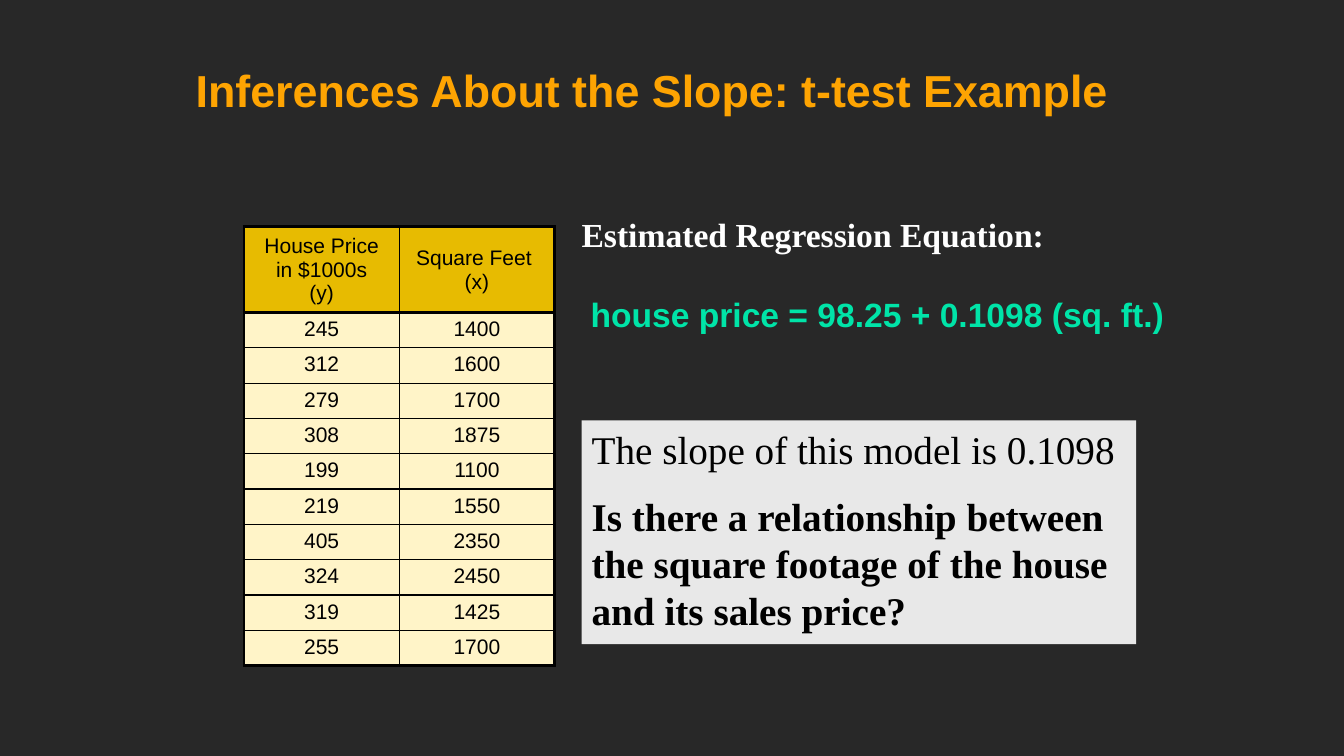
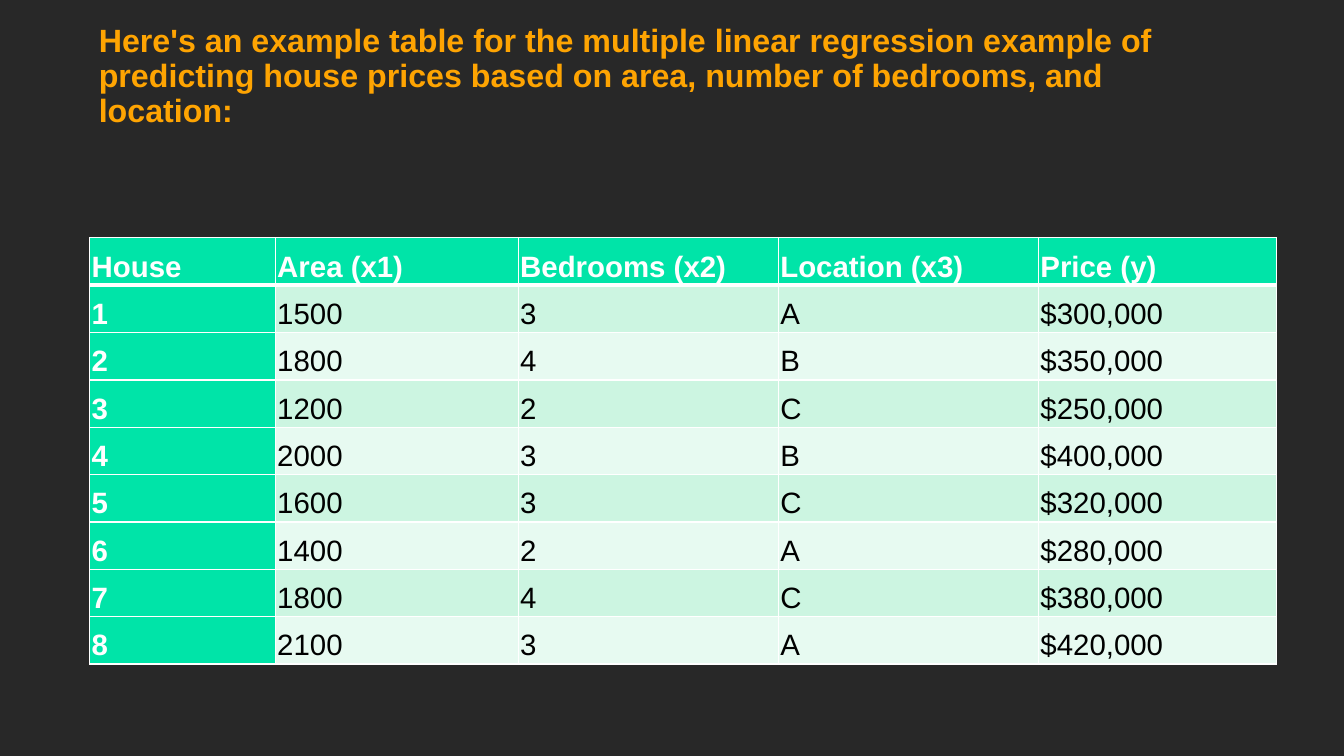
import pptx
import pptx.dml.color
import pptx.enum.shapes
import pptx.enum.text
import pptx.oxml.ns
import pptx.util
from lxml import etree

Inches, Pt = pptx.util.Inches, pptx.util.Pt
ALIGN, ANCHOR = pptx.enum.text.PP_ALIGN, pptx.enum.text.MSO_ANCHOR

DARK, ORANGE, GREEN, GRAY = "282828", "FEA402", "00E4A8", "E8E8E8"
GOLD, CREAM, MINT, PALE_MINT = "E7BB01", "FFF4C8", "CCF5E1", "E7FAF1"
BLACK, WHITE = "000000", "FFFFFF"
SANS, SERIF = "Arial", "Times New Roman"

SLOPE_TITLE = "Inferences About the Slope: t-test Example"
SLOPE_HEADER = [("House Price in $1000s", "(y)"), ("Square Feet ", "(x)")]
SLOPE_ROWS = [(245, 1400), (312, 1600), (279, 1700), (308, 1875), (199, 1100),
              (219, 1550), (405, 2350), (324, 2450), (319, 1425), (255, 1700)]
EQUATION_LABEL = "Estimated Regression Equation:"
EQUATION = "house price = 98.25 + 0.1098 (sq. ft.)"
SLOPE_FACT = "The slope of this model is 0.1098"
SLOPE_QUESTION = ("Is there a relationship between the square footage "
                  "of the house and its sales price?")

HOUSES_TITLE = ("Here's an example table for the multiple linear regression example of "
                "predicting house prices based on area, number of bedrooms, and location:")
HOUSES = [
    ("House", "Area (x1)", "Bedrooms (x2)", "Location (x3)", "Price (y)"),
    ("1", "1500", "3", "A", "$300,000"),
    ("2", "1800", "4", "B", "$350,000"),
    ("3", "1200", "2", "C", "$250,000"),
    ("4", "2000", "3", "B", "$400,000"),
    ("5", "1600", "3", "C", "$320,000"),
    ("6", "1400", "2", "A", "$280,000"),
    ("7", "1800", "4", "C", "$380,000"),
    ("8", "2100", "3", "A", "$420,000"),
]


def rgb(color):
    return pptx.dml.color.RGBColor.from_string(color)


def paint(fill, color):
    fill.solid()
    fill.fore_color.rgb = rgb(color)


def write(tf, texts, size, color, font=SANS, bold=False, align=ALIGN.LEFT):
    for i, text in enumerate(texts):
        p = tf.add_paragraph() if i else tf.paragraphs[0]
        p.text = text
        p.alignment = align
        p.font.name, p.font.size, p.font.bold = font, Pt(size), bold
        p.font.color.rgb = rgb(color)
    return tf.paragraphs


def add_text(s, at, texts, size, color, fill=None, **style):
    box = tuple(Inches(v) for v in at)
    if fill:
        sp = s.shapes.add_shape(pptx.enum.shapes.MSO_SHAPE.RECTANGLE, *box)
        sp.shadow.inherit = False
        paint(sp.fill, fill)
        sp.line.fill.background()
    else:
        sp = s.shapes.add_textbox(*box)
    tf = sp.text_frame
    tf.word_wrap = True
    tf.vertical_anchor = ANCHOR.TOP
    write(tf, texts, size, color, **style)
    return tf


def add_slide(prs, title, at, size, spacing=1.0):
    s = prs.slides.add_slide(prs.slide_layouts[6])
    paint(s.background.fill, DARK)
    tf = add_text(s, at, [title], size, ORANGE, bold=True)
    tf.vertical_anchor = ANCHOR.BOTTOM
    tf.margin_left = tf.margin_right = Inches(0.09)
    tf.paragraphs[0].line_spacing = spacing
    return s


def add_table(s, left, top, widths, heights):
    frame = s.shapes.add_table(len(heights), len(widths), Inches(left), Inches(top),
                               Inches(sum(widths)), Inches(sum(heights)))
    table = frame.table
    table.first_row = table.horz_banding = False
    for column, width in zip(table.columns, widths):
        column.width = Inches(width)
    for row, height in zip(table.rows, heights):
        row.height = Inches(height)
    return table


def style_cell(cell, fill, line, widths, margins, anchor):
    tc_pr = cell._tc.get_or_add_tcPr()
    qn = pptx.oxml.ns.qn
    for side, width in zip("LRTB", widths):
        ln = etree.SubElement(tc_pr, qn(f"a:ln{side}"), w=str(Pt(width)))
        solid = etree.SubElement(ln, qn("a:solidFill"))
        etree.SubElement(solid, qn("a:srgbClr"), val=line)
    paint(cell.fill, fill)
    cell.margin_left = cell.margin_right = Inches(margins[0])
    cell.margin_top = cell.margin_bottom = Inches(margins[1])
    cell.vertical_anchor = anchor


def slope_slide(prs):
    s = add_slide(prs, SLOPE_TITLE, (1.85, 0.12, 9.62, 1.08), 32)
    rows = [SLOPE_HEADER] + [[(str(v),) for v in row] for row in SLOPE_ROWS]
    last = len(rows) - 1
    table = add_table(s, 2.42, 2.25, [1.54] * 2, [0.85] + [0.35] * last)
    thick, thin = 2.25, 1
    for r, row in enumerate(rows):
        for c, lines in enumerate(row):
            edges = (c == 0, c == 1, r < 2, r in (0, last))
            cell = table.cell(r, c)
            style_cell(cell, CREAM if r else GOLD, BLACK,
                       [thick if edge else thin for edge in edges], (0.1, 0.05),
                       ANCHOR.TOP if r else ANCHOR.MIDDLE)
            paragraphs = write(cell.text_frame, lines, 15, BLACK, align=ALIGN.CENTER)
            for p in paragraphs[1:]:
                p.line_spacing = 0.8
                p.space_before = Pt(3)
    add_text(s, (5.67, 2.07, 5.5, 0.5), [EQUATION_LABEL], 24, WHITE, font=SERIF, bold=True)
    tf = add_text(s, (5.77, 4.17, 5.5, 2.22), [SLOPE_FACT, SLOPE_QUESTION], 28, BLACK,
                  fill=GRAY, font=SERIF)
    question = tf.paragraphs[1]
    question.space_before = Pt(14)
    question.font.bold = True
    add_text(s, (5.76, 2.87, 5.91, 0.51), [EQUATION], 24, GREEN, bold=True)


def houses_slide(prs):
    s = add_slide(prs, HOUSES_TITLE, (0.89, 0.25, 11.56, 1.08), 23, 0.9)
    table = add_table(s, 0.89, 2.36, [1.84, 2.41, 2.58, 2.58, 2.36], [0.47] * len(HOUSES))
    for r, row in enumerate(HOUSES):
        for c, text in enumerate(row):
            heading = r == 0 or c == 0
            fill = GREEN if heading else (MINT if r % 2 else PALE_MINT)
            cell = table.cell(r, c)
            style_cell(cell, fill, WHITE, (1, 1, 3 if r == 1 else 1, 1 if r else 3),
                       (0.02, 0.02), ANCHOR.BOTTOM)
            p = write(cell.text_frame, [text], 21, WHITE if heading else BLACK, bold=heading)[0]
            p.line_spacing = 1.07
            p.space_after = Pt(8)


def main():
    prs = pptx.Presentation()
    prs.slide_width, prs.slide_height = Inches(13.33), Inches(7.5)
    slope_slide(prs)
    houses_slide(prs)
    prs.save("out.pptx")


if __name__ == "__main__":
    main()
